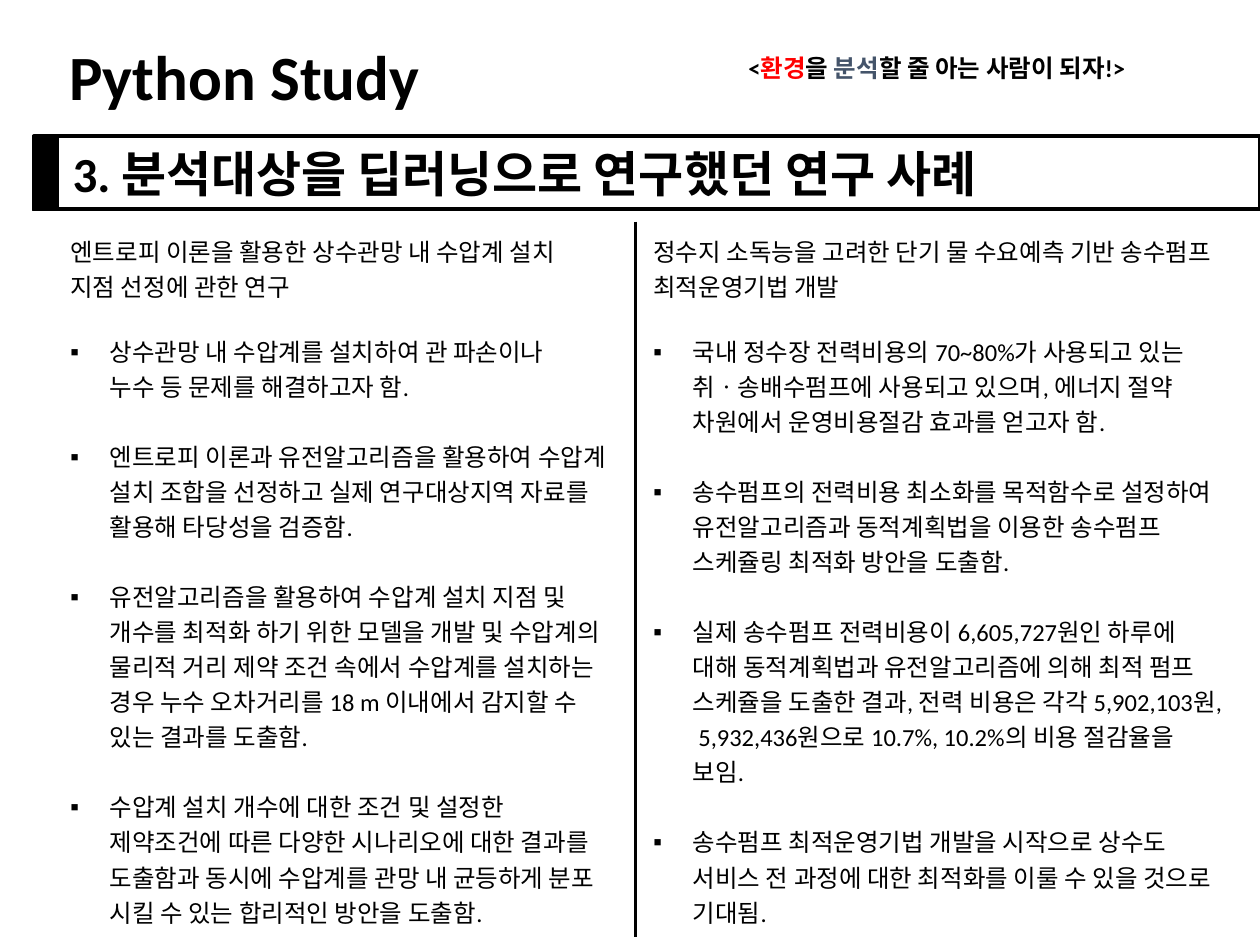
from lxml import etree
from pptx import Presentation
from pptx import util as u
from pptx.dml.color import RGBColor
from pptx.enum import shapes, text
from pptx.oxml.ns import qn

Pt = u.Pt
BLACK = "000000"


def rgb(value):
    return RGBColor.from_string(value)


def add_text(box, size, paragraphs, bold=False, align=text.PP_ALIGN.LEFT):
    """Add a text box; each paragraph is a list of (wording, colour) runs."""
    tf = s.shapes.add_textbox(*map(Pt, box)).text_frame
    tf.word_wrap = True
    for i, runs in enumerate(paragraphs):
        p = tf.paragraphs[0] if i == 0 else tf.add_paragraph()
        p.alignment = align
        for wording, colour in runs:
            for j, line in enumerate(wording.split("\n")):
                if j:
                    p.add_line_break()
                r = p.add_run()
                r.text = line
                r.font.name = "Calibri"
                r.font.size = Pt(size)
                r.font.bold = bold
                r.font.color.rgb = rgb(colour)
    return tf


prs = Presentation()
prs.slide_width, prs.slide_height = Pt(720), Pt(540)
s = prs.slides.add_slide(prs.slide_layouts[6])

# Header
center = text.PP_ALIGN.CENTER
motto = [("< ", BLACK), ("환경", "FF0000"), ("을 ", BLACK), ("분석", "44546A"),
         ("할 줄 아는 사람이 되자!>", BLACK)]
motto[0] = ("<", BLACK)
add_text((322.5, 26.6, 425.5, 24.5), 14, [motto], True, center)
add_text((-49.7, 18, 378.7, 51), 36, [[("Python Study", BLACK)]], True, center)

# Section title bar
add_text((34.5, 78.5, 700.5, 41), 28,
         [[("3. 분석대상을 딥러닝으로 연구했던 연구 사례", BLACK)]], True)
for box, filled, weight in [((18.7, 77.8, 14.4, 42.5), True, 1),
                            ((19.4, 77.8, 700.6, 41.8), False, 2.25)]:
    sp = s.shapes.add_shape(shapes.MSO_SHAPE.RECTANGLE, *map(Pt, box))
    sp.shadow.inherit = False
    if filled:
        sp.fill.solid()
        sp.fill.fore_color.rgb = rgb(BLACK)
    else:
        sp.fill.background()
    sp.line.color.rgb = rgb(BLACK)
    sp.line.width = Pt(weight)

# Two studies side by side: heading, then bullets
studies = [
    ((33.1, 128.9, 326.9, 406.8), [
        "엔트로피 이론을 활용한 상수관망 내 수압계 설치\n지점 선정에 관한 연구",
        "상수관망 내 수압계를 설치하여 관 파손이나\n누수 등 문제를 해결하고자 함.",
        "엔트로피 이론과 유전알고리즘을 활용하여 수압계 설치 조합을 선정하고 "
        "실제 연구대상지역 자료를 활용해 타당성을 검증함.",
        "유전알고리즘을 활용하여 수압계 설치 지점 및 개수를 최적화 하기 위한 "
        "모델을 개발 및 수압계의 물리적 거리 제약 조건 속에서 수압계를 설치하는 "
        "경우 누수 오차거리를 18 m 이내에서 감지할 수 있는 결과를 도출함.",
        "수압계 설치 개수에 대한 조건 및 설정한 제약조건에 따른 다양한 "
        "시나리오에 대한 결과를 도출함과 동시에 수압계를 관망 내 균등하게 분포 "
        "시킬 수 있는 합리적인 방안을 도출함."]),
    ((366.3, 128.9, 337.7, 406.8), [
        "정수지 소독능을 고려한 단기 물 수요예측 기반 송수펌프 최적운영기법 개발",
        "국내 정수장 전력비용의 70~80%가 사용되고 있는 취ㆍ송배수펌프에 "
        "사용되고 있으며, 에너지 절약 차원에서 운영비용절감 효과를 얻고자 함.",
        "송수펌프의 전력비용 최소화를 목적함수로 설정하여 유전알고리즘과 "
        "동적계획법을 이용한 송수펌프 스케쥴링 최적화 방안을 도출함.",
        "실제 송수펌프 전력비용이 6,605,727원인 하루에 대해 동적계획법과 "
        "유전알고리즘에 의해 최적 펌프 스케쥴을 도출한 결과, 전력 비용은 각각 "
        "5,902,103원, 5,932,436원으로 10.7%, 10.2%의 비용 절감율을 보임.",
        "송수펌프 최적운영기법 개발을 시작으로 상수도 서비스 전 과정에 대한 "
        "최적화를 이룰 수 있을 것으로 기대됨."]),
]
for box, lines in studies:
    tf = add_text(box, 14, [[(line, BLACK)] for line in lines])
    for i, p in enumerate(tf.paragraphs):
        p.line_spacing = Pt(20)
        if i == 0:
            continue
        p.space_before = Pt(17 if i == 1 else 20)
        pPr = p._p.get_or_add_pPr()
        pPr.set("marL", str(Pt(22.5)))
        pPr.set("indent", str(-Pt(22.5)))
        etree.SubElement(pPr, qn("a:buFont"), typeface="Calibri")
        etree.SubElement(pPr, qn("a:buChar"), char="▪")

# Divider between the studies
divider = s.shapes.add_connector(shapes.MSO_CONNECTOR.STRAIGHT,
                                 Pt(363), Pt(126.7), Pt(363), Pt(535.7))
divider.line.color.rgb = rgb(BLACK)
divider.line.width = Pt(1.75)
etree.SubElement(divider._element.spPr, qn("a:effectLst"))

prs.save("out.pptx")
